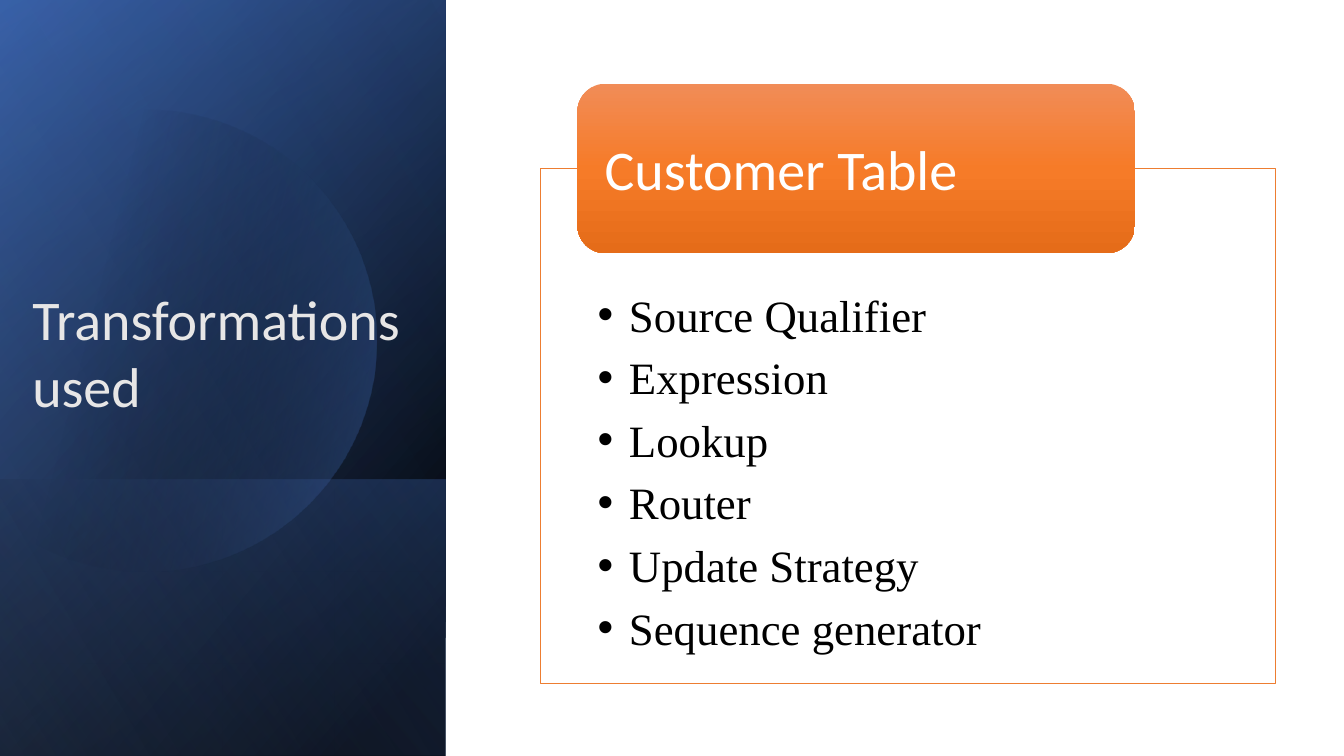
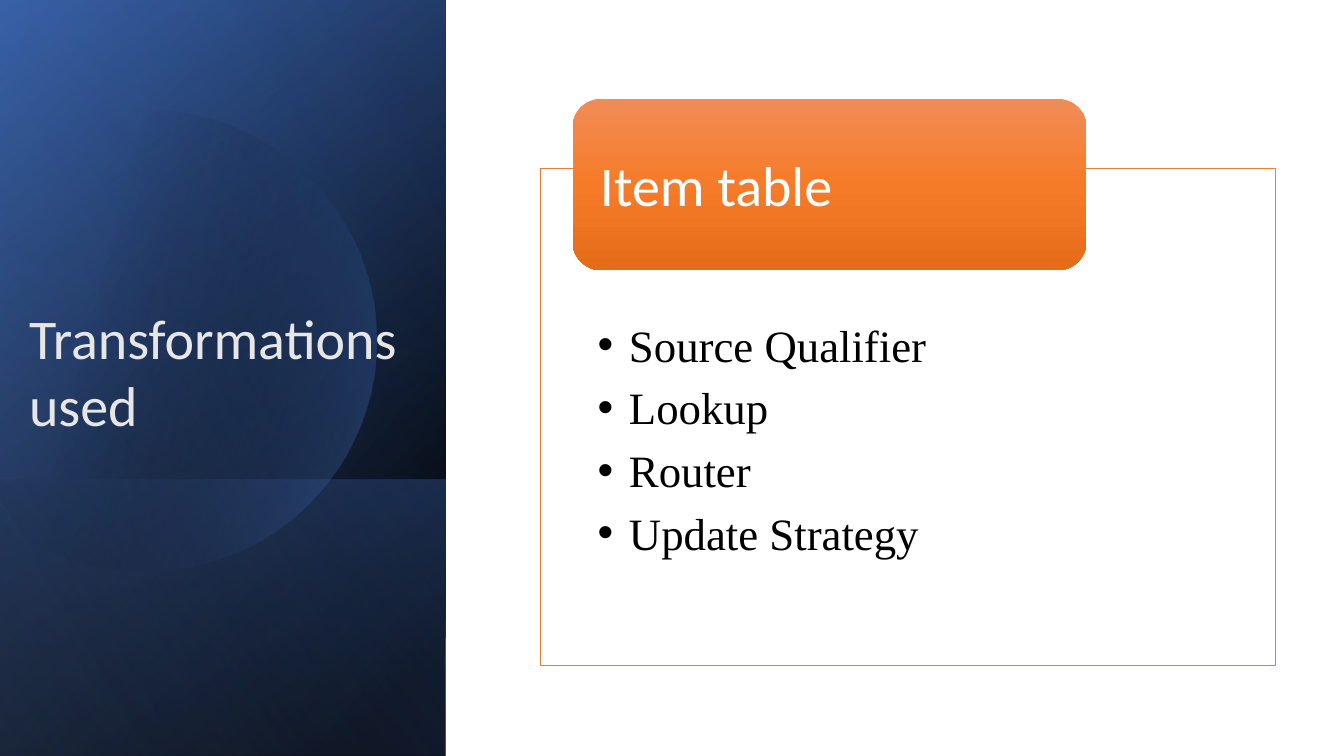
"""Build two slides listing the transformations used for each table."""
from math import acos, cos, sin

from pptx import Presentation
from pptx.dml.color import RGBColor
from pptx.enum.shapes import MSO_SHAPE
from pptx.enum.text import MSO_ANCHOR, MSO_AUTO_SIZE, PP_ALIGN
from pptx.oxml import parse_xml
from pptx.oxml.ns import nsdecls, qn
from pptx.util import Cm, Pt

COLORS = {
    "black": "000000", "white": "FFFFFF", "title": "E7E6E6", "border": "ED7D31",
    "navy": "2F5597", "blue": "4472C4", "pale": "8FAADC",
    "tab_top": "F18C57", "tab_middle": "F67B28", "tab_bottom": "E56C19",
}
TITLE = "Transformations\nused"
SLIDES = [
    {
        "table": "Customer Table",
        "items": ["Source Qualifier", "Expression", "Lookup", "Router",
                  "Update Strategy", "Sequence generator"],
        "title_box": (0.56, 7.04, 11.33, 3.68),
        "list_box": (13.61, 4.24, 18.52, 12.98),
        "list_inset": 3,
        "tab_box": (14.55, 2.11, 14.05, 4.27),
    },
    {
        "table": "Item table",
        "items": ["Source Qualifier", "Lookup", "Router", "Update Strategy"],
        "title_box": (0.48, 7.52, 10.34, 3.68),
        "list_box": (13.61, 4.24, 18.52, 12.52),
        "list_inset": 3.76,
        "tab_box": (14.43, 2.49, 12.95, 4.32),
    },
]

PAGE_WIDTH, PAGE_HEIGHT = 33.87, 19.05
PANEL_WIDTH, BAND_TOP = 11.23, 12.09
CIRCLE_X, CIRCLE_Y, RADIUS = 3.66, 8.59, 5.82
ARC_STEPS = 120

BASE_LAYERS = [
    (0, [(8, "black", 100), (100, "navy", 100)], 50),
    (0, [(0, "black", 0), (99, "blue", 46)], 30),
    (BAND_TOP, [(2, "blue", 29), (100, "black", 30)], 130),
]
CIRCLE_STOPS = [(29, "black", 0), (100, "blue", 43)]
TOP_LAYER = (0, [(0, "black", 0), (99, "pale", 11)], 120)
TAB_STOPS = [(0, "tab_top", 100), (50, "tab_middle", 100), (100, "tab_bottom", 100)]


def rgb(name):
    return RGBColor.from_string(COLORS[name])


def place(shape, box):
    shape.left, shape.top, shape.width, shape.height = map(Cm, box)


def set_gradient(shape, stops, angle):
    """Fill a shape with a linear gradient and remove its outline and shadow."""
    shape.shadow.inherit = False
    shape.line.fill.background()
    shape.fill.background()
    stop_xml = "".join(
        f'<a:gs pos="{position * 1000}"><a:srgbClr val="{COLORS[name]}">'
        f'<a:alpha val="{opacity * 1000}"/></a:srgbClr></a:gs>'
        for position, name, opacity in stops)
    gradient = parse_xml(
        f'<a:gradFill {nsdecls("a")} rotWithShape="1"><a:gsLst>{stop_xml}</a:gsLst>'
        f'<a:lin ang="{angle * 60000}" scaled="0"/></a:gradFill>')
    properties = shape.element.spPr
    properties.replace(properties.find(qn("a:noFill")), gradient)


def add_layer(page, top, stops, angle):
    """Add a quarter-turned rectangle from top to the foot of the panel."""
    height = PAGE_HEIGHT - top
    left = (PANEL_WIDTH - height) / 2
    box = (left, top - left, height, PANEL_WIDTH)
    layer = page.shapes.add_shape(MSO_SHAPE.RECTANGLE, *map(Cm, box))
    layer.rotation = 90
    layer.element.spPr.find(qn("a:xfrm")).set("flipH", "1")
    set_gradient(layer, stops, angle)


def add_circle(page):
    """Add the circle, cut off at the left edge of the slide."""
    limit = acos(-CIRCLE_X / RADIUS)
    angles = [limit * (2 * step / ARC_STEPS - 1) for step in range(ARC_STEPS + 1)]
    points = [(Cm(CIRCLE_X + RADIUS * cos(angle)), Cm(CIRCLE_Y + RADIUS * sin(angle)))
              for angle in angles]
    builder = page.shapes.build_freeform(*points[0])
    builder.add_line_segments(points[1:], close=True)
    set_gradient(builder.convert_to_shape(), CIRCLE_STOPS, 14)


def add_panel(page):
    for layer in BASE_LAYERS:
        add_layer(page, *layer)
    add_circle(page)
    add_layer(page, *TOP_LAYER)


def write(shape, text, size, font, color, anchor):
    """Write left-aligned paragraphs in one style."""
    frame = shape.text_frame
    frame.text = text
    frame.word_wrap = True
    frame.auto_size = MSO_AUTO_SIZE.NONE
    frame.vertical_anchor = anchor
    for para in frame.paragraphs:
        para.alignment = PP_ALIGN.LEFT
        para.line_spacing = 1.0
        para.space_before = Pt(0)
        for span in para.runs:
            span.font.size = Pt(size)
            span.font.name = font
            span.font.color.rgb = rgb(color)
    return frame


def fill_list(body, content):
    place(body, content["list_box"])
    body.fill.solid()
    body.fill.fore_color.rgb = rgb("white")
    body.line.color.rgb = rgb("border")
    body.line.width = Pt(0.5)
    frame = write(body, "\n".join(content["items"]), 32, "Times New Roman",
                  "black", MSO_ANCHOR.TOP)
    frame.margin_left = frame.margin_right = Cm(1.45)
    frame.margin_top, frame.margin_bottom = Cm(content["list_inset"]), Cm(0.64)
    for para in frame.paragraphs:
        properties = para._p.get_or_add_pPr()
        properties.set("marL", str(Cm(0.79)))
        properties.set("indent", str(-Cm(0.79)))
        properties.append(parse_xml(f'<a:buChar {nsdecls("a")} char="•"/>'))
        para.space_after = Pt(6.3)


def add_tab(page, content):
    tab = page.shapes.add_shape(MSO_SHAPE.ROUNDED_RECTANGLE, *map(Cm, content["tab_box"]))
    set_gradient(tab, TAB_STOPS, 90)
    frame = write(tab, content["table"], 40, "Calibri", "white", MSO_ANCHOR.MIDDLE)
    frame.margin_left = frame.margin_right = Cm(0.48)
    frame.margin_top = frame.margin_bottom = 0


def add_page(deck, content):
    page = deck.slides.add_slide(deck.slide_layouts[1])
    title, body = page.placeholders
    add_panel(page)
    fill_list(body, content)
    add_tab(page, content)
    place(title, content["title_box"])
    write(title, TITLE, 40, "Calibri", "title", MSO_ANCHOR.TOP)
    page.shapes.element.append(title.element)


def main():
    deck = Presentation()
    deck.slide_width, deck.slide_height = Cm(PAGE_WIDTH), Cm(PAGE_HEIGHT)
    for content in SLIDES:
        add_page(deck, content)
    deck.save("out.pptx")


if __name__ == "__main__":
    main()
